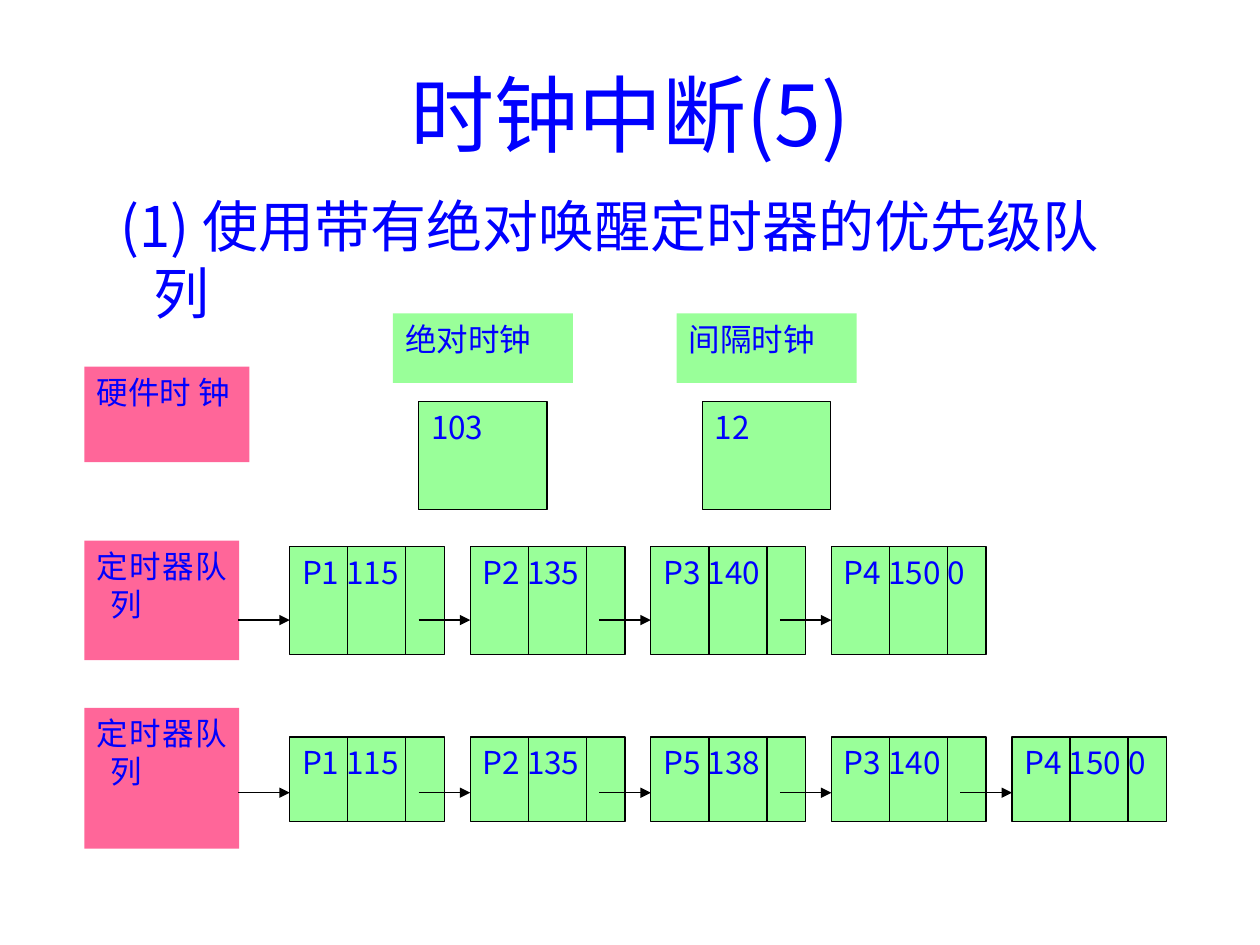
"""Build the clock interrupt slide with its two timer queues."""
import pptx
import pptx.dml.color
import pptx.enum.shapes
import pptx.enum.text
import pptx.oxml.ns
import pptx.util
from lxml import etree

Cm = pptx.util.Cm
Pt = pptx.util.Pt
RGBColor = pptx.dml.color.RGBColor
PP_ALIGN = pptx.enum.text.PP_ALIGN
MSO_ANCHOR = pptx.enum.text.MSO_ANCHOR
qn = pptx.oxml.ns.qn

FONT = "Noto Sans CJK JP"
BLUE = RGBColor(0x00, 0x00, 0xFF)
BLACK = RGBColor(0x00, 0x00, 0x00)
PINK = RGBColor(0xFF, 0x66, 0x99)
GREEN = RGBColor(0x99, 0xFF, 0x99)

TITLE = "时钟中断(5)"
BODY = "(1) 使用带有绝对唤醒定时器的优先级队列"
HARDWARE = "硬件时 钟"
CLOCKS = [("绝对时钟", "103", 7.92), ("间隔时钟", "12", 13.64)]
QUEUE_LABEL = "定时器队列"
QUEUES = [
    {"label": (10.9, 2.41), "cell": (11.02, 2.17), "arrow": 12.5,
     "items": ["P1 115", "P2 135", "P3 140", "P4 150 0"]},
    {"label": (14.27, 2.84), "cell": (14.86, 1.7), "arrow": 15.98,
     "items": ["P1 115", "P2 135", "P5 138", "P3 140", "P4 150 0"]},
]

LABEL_X = 1.7
CELL_X, CELL_W, PITCH = 5.84, 3.12, 3.64
DIVIDERS = (0.375, 0.75)
ARROW_LEN = 1.04


def put_text(sp, text, size=18, align=PP_ALIGN.JUSTIFY, anchor=MSO_ANCHOR.TOP,
             margin=0, indent=0):
    tf = sp.text_frame
    tf.word_wrap = True
    tf.auto_size = pptx.enum.text.MSO_AUTO_SIZE.NONE
    tf.vertical_anchor = anchor
    p = tf.paragraphs[0]
    p.alignment = align
    p.space_before = Pt(0)
    pPr = p._p.get_or_add_pPr()
    pPr.set("marL", str(Cm(margin)))
    pPr.set("indent", str(Cm(indent)))
    etree.SubElement(pPr, qn("a:buNone"))
    r = p.add_run()
    r.text = text
    r.font.size = Pt(size)
    r.font.name = FONT
    r.font.color.rgb = BLUE
    etree.SubElement(r._r.get_or_add_rPr(), qn("a:ea")).set("typeface", FONT)


def place(sp, x, y, w, h):
    sp.left, sp.top, sp.width, sp.height = Cm(x), Cm(y), Cm(w), Cm(h)


def add_box(slide, text, x, y, w, h, fill=GREEN, outlined=False, **text_format):
    sp = slide.shapes.add_shape(pptx.enum.shapes.MSO_SHAPE.RECTANGLE,
                                Cm(x), Cm(y), Cm(w), Cm(h))
    sp.shadow.inherit = False
    sp.fill.solid()
    sp.fill.fore_color.rgb = fill
    if outlined:
        sp.line.color.rgb = BLACK
        sp.line.width = Pt(0.75)
    else:
        sp.line.fill.background()
    put_text(sp, text, **text_format)


def add_line(slide, x1, y1, x2, y2, arrow=False):
    cn = slide.shapes.add_connector(pptx.enum.shapes.MSO_CONNECTOR.STRAIGHT,
                                    Cm(x1), Cm(y1), Cm(x2), Cm(y2))
    cn.line.color.rgb = BLACK
    cn.line.width = Pt(0.75)
    if arrow:
        etree.SubElement(cn.line._get_or_add_ln(), qn("a:tailEnd")).set("type", "triangle")
    etree.SubElement(cn._element.spPr, qn("a:effectLst"))


def add_queue(slide, queue):
    label_y, label_h = queue["label"]
    y, h = queue["cell"]
    add_box(slide, QUEUE_LABEL, LABEL_X, label_y, CELL_W, label_h, fill=PINK,
            margin=0.28, indent=-0.28)
    for i, item in enumerate(queue["items"]):
        x = CELL_X + i * PITCH
        add_box(slide, item, x, y, CELL_W, h, outlined=True)
        for share in DIVIDERS:
            divider_x = x + share * CELL_W
            add_line(slide, divider_x, y, divider_x, y + h)
    for i in range(len(queue["items"])):
        x = CELL_X + i * PITCH
        add_line(slide, x - ARROW_LEN, queue["arrow"], x, queue["arrow"], arrow=True)


def main():
    prs = pptx.Presentation()
    prs.slide_width, prs.slide_height = Cm(25.4), Cm(19.05)
    slide = prs.slides.add_slide(prs.slide_layouts[1])

    title, body = slide.placeholders
    place(title, 1.9, 1.7, 21.6, 3.18)
    put_text(title, TITLE, size=48, align=PP_ALIGN.CENTER, anchor=MSO_ANCHOR.BOTTOM)
    title.text_frame.margin_bottom = Cm(1.59)
    place(body, 1.9, 3.73, 21.6, 14.81)
    put_text(body, BODY, size=32, align=PP_ALIGN.LEFT, margin=0.95, indent=-0.67)

    add_box(slide, HARDWARE, LABEL_X, 7.39, 3.33, 1.93, fill=PINK)
    for name, value, x in CLOCKS:
        add_box(slide, name, x, 6.32, 3.63, 1.4)
        add_box(slide, value, x + 0.52, 8.1, 2.59, 2.18, outlined=True)
    for queue in QUEUES:
        add_queue(slide, queue)

    prs.save("out.pptx")


if __name__ == "__main__":
    main()
